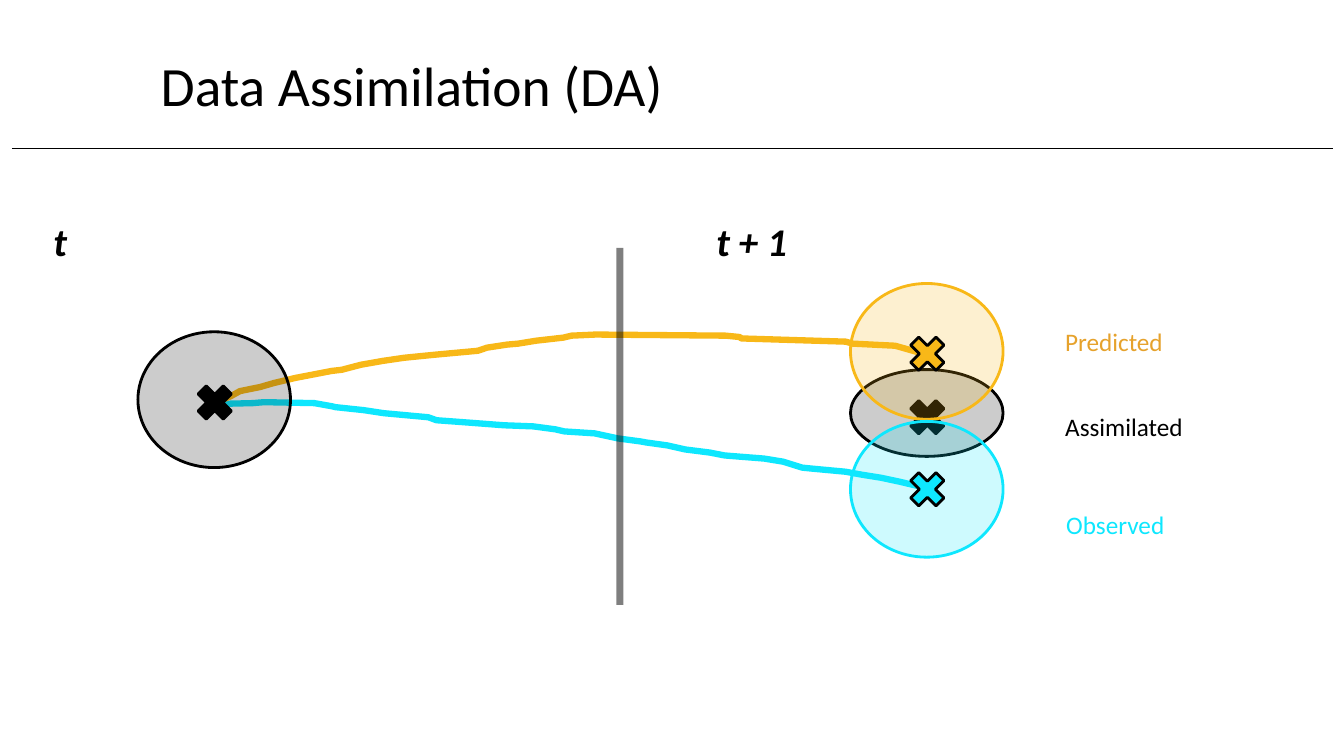
from dataclasses import dataclass

from lxml.etree import SubElement
from pptx import Presentation
from pptx.dml.color import RGBColor
from pptx.enum.shapes import MSO_CONNECTOR, MSO_SHAPE
from pptx.enum.text import MSO_ANCHOR, PP_ALIGN
from pptx.oxml.ns import qn
from pptx.util import Pt


@dataclass(frozen=True)
class Theme:
    font: str = "Calibri"
    black: RGBColor = RGBColor(0x00, 0x00, 0x00)
    predicted: RGBColor = RGBColor(0xF8, 0xB8, 0x18)
    predicted_label: RGBColor = RGBColor(0xE6, 0xA2, 0x2C)
    observed: RGBColor = RGBColor(0x0E, 0xE7, 0xFE)
    title_size: float = 39.6
    heading_size: float = 28
    label_size: float = 18


THEME = Theme()

PREDICTED_TRACK = [
    (81.4, 146.2), (86.4, 141.8), (92.9, 139), (99.4, 135.4), (113.8, 132.5),
    (123.8, 129.6), (139, 126), (150.5, 123.8), (164.9, 121), (172.1, 120.2),
    (185.8, 116.6), (201.6, 113.8), (216.7, 111.6), (239, 109.4),
    (269.3, 106.6), (275.8, 104.4), (290.2, 102.2), (298.1, 101.5),
    (311, 99.4), (330.5, 97.2), (336.2, 95.8), (353.5, 95), (446.4, 95.8),
    (456.5, 96.8), (457.5, 97.8), (532.1, 100.1), (537.1, 101.5),
    (567.4, 103), (582.5, 107.3), (588.2, 109.4), (596.2, 110.9),
]
OBSERVED_TRACK = [
    (78.5, 144.7), (108.7, 144), (116.6, 143.3), (152.6, 144),
    (164.9, 146.2), (167.8, 146.9), (187.9, 149), (202.3, 151.2),
    (234, 154.1), (239.8, 156.2), (259.9, 157.7), (288, 159.8),
    (308.9, 160.6), (324.7, 162.7), (331.2, 164.2), (352.8, 165.6),
    (369.4, 169.2), (385.9, 171.4), (389.5, 172.1), (404.6, 174.2),
    (417.6, 177.1), (434.9, 179.3), (445.7, 181.4), (473.8, 183.6),
    (487.4, 185.8), (501.1, 190.1), (508.3, 190.8), (532.1, 193),
    (543.6, 195.1), (557.3, 197.3), (571, 200.2), (586.1, 203.8),
    (594, 203.8),
]


def set_opacity(shape, percent):
    """Apply opacity to the first colour of a shape: its fill, or else its line."""
    color = next(shape._element.spPr.iter(qn("a:srgbClr")))
    SubElement(color, qn("a:alpha")).set("val", str(percent * 1000))


def style_text(frame, size, color, strong=False):
    font = frame.paragraphs[0].runs[0].font
    font.name, font.size, font.color.rgb = THEME.font, Pt(size), color
    font.bold = font.italic = strong


def add_text(slide, text, left, top, width, height, size, color, strong=False):
    frame = slide.shapes.add_textbox(Pt(left), Pt(top), Pt(width), Pt(height)).text_frame
    frame.word_wrap = True
    frame.text = text
    style_text(frame, size, color, strong)


def add_rule(slide, start, end, weight):
    rule = slide.shapes.add_connector(
        MSO_CONNECTOR.STRAIGHT, *(Pt(value) for value in (*start, *end)))
    rule.line.color.rgb = THEME.black
    rule.line.width = Pt(weight)
    SubElement(rule._element.spPr, qn("a:effectLst"))
    return rule


def add_centred(slide, kind, centre, size, fill, outline):
    (x, y), (width, height) = centre, size
    shape = slide.shapes.add_shape(
        kind, Pt(x - width / 2), Pt(y - height / 2), Pt(width), Pt(height))
    shape.shadow.inherit = False
    shape.fill.solid()
    shape.fill.fore_color.rgb = fill
    shape.line.color.rgb = outline
    shape.line.width = Pt(2)
    return shape


def add_header(slide, left, top, width, height):
    title = slide.shapes.title
    title.left, title.top, title.width, title.height = Pt(left), Pt(top), Pt(width), Pt(height)
    frame = title.text_frame
    frame.text = "Data Assimilation (DA)"
    frame.vertical_anchor = MSO_ANCHOR.MIDDLE
    frame.paragraphs[0].alignment = PP_ALIGN.CENTER
    style_text(frame, THEME.title_size, THEME.black)
    rule_y = top + height + 16.5
    add_rule(slide, (left - 29.5, rule_y), (left + 914, rule_y), 0.75)


def add_trajectories(slide, left, top):
    for track, color in ((OBSERVED_TRACK, THEME.observed),
                         (PREDICTED_TRACK, THEME.predicted)):
        points = [(Pt(left + x), Pt(top + y)) for x, y in track]
        builder = slide.shapes.build_freeform(*points[0])
        builder.add_line_segments(points[1:], close=False)
        trajectory = builder.convert_to_shape()
        trajectory.shadow.inherit = False
        trajectory.fill.background()
        trajectory.line.color.rgb = color
        trajectory.line.width = Pt(4.5)


def add_time_steps(slide, left, top, height):
    """Head the two time steps and draw the divider between them."""
    divider_x = left + 411.8
    divider = add_rule(slide, (divider_x, top + 25), (divider_x, top + height), 5)
    set_opacity(divider, 50)
    for heading, offset in (("t", 0), ("t + 1", 473.6)):
        add_text(slide, heading, left + offset, top, 103, 41,
                 THEME.heading_size, THEME.black, strong=True)


def add_states(slide, left, top):
    """Draw each state estimate as a cross inside its uncertainty ellipse."""
    now, following = left + 81, left + 590
    states = [
        (now, 141.5, 143.5, 97, THEME.black),
        (following, 151, 154, 62, THEME.black),
        (following, 107, 108.7, 97, THEME.predicted),
        (following, 205.5, 205.5, 97, THEME.observed),
    ]
    for x, ellipse_y, cross_y, height, color in states:
        uncertainty = add_centred(slide, MSO_SHAPE.OVAL, (x, top + ellipse_y),
                                  (109, height), color, color)
        set_opacity(uncertainty, 20)
        add_centred(slide, MSO_SHAPE.MATH_MULTIPLY, (x + 0.4, top + cross_y),
                    (34.6, 34.6), color, THEME.black)


def add_legend(slide, left, top, width):
    for label, x, y, color in (
        ("Predicted", 0, 0, THEME.predicted_label),
        ("Assimilated", 0, 60.5, THEME.black),
        ("Observed", 0.7, 130.5, THEME.observed),
    ):
        add_text(slide, label, left + x, top + y, width, 29, THEME.label_size, color)


def main():
    deck = Presentation()
    deck.slide_width, deck.slide_height = Pt(960), Pt(540)
    slide = deck.slides.add_slide(deck.slide_layouts[5])
    add_header(slide, 38, 31, 512, 58.3)
    add_trajectories(slide, 72, 144)
    add_time_steps(slide, 31, 152, 280)
    add_states(slide, 72, 144)
    add_legend(slide, 753.8, 229.7, 107)
    deck.save("out.pptx")


if __name__ == "__main__":
    main()
